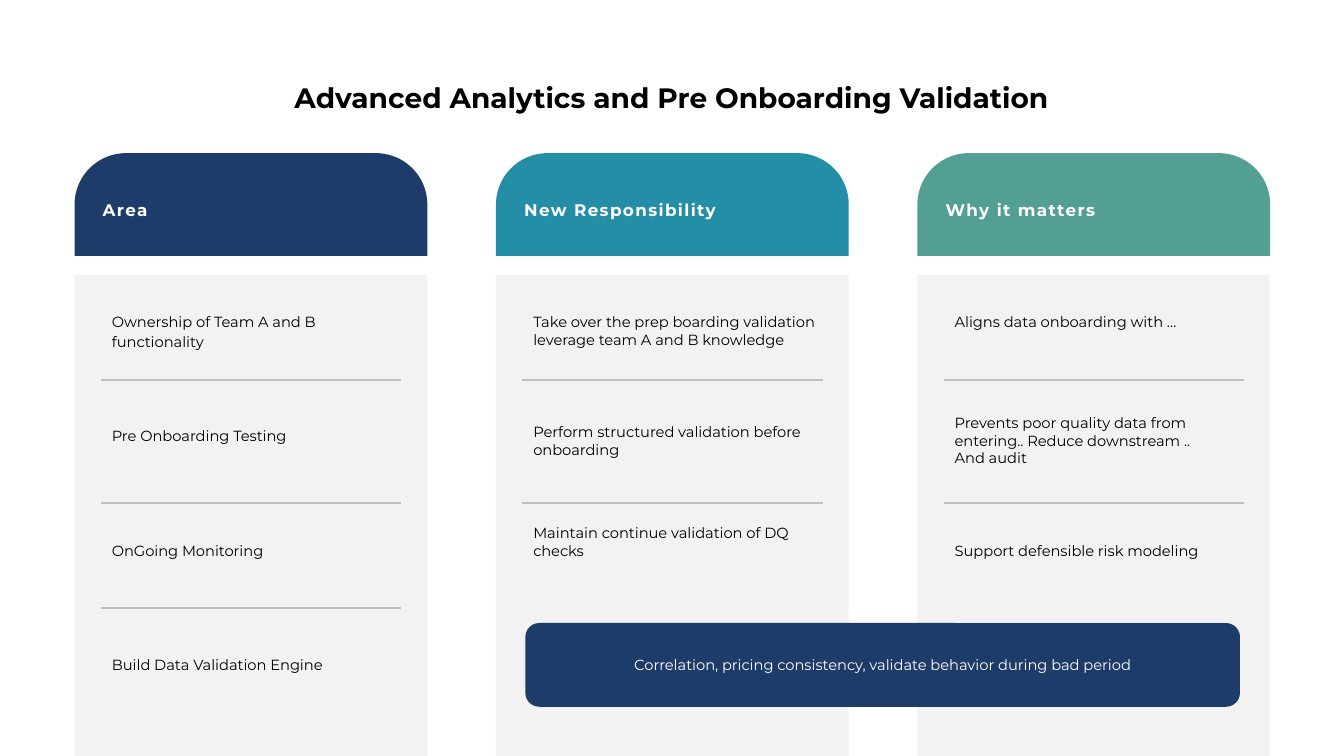
import pptx
import pptx.util
import pptx.dml.color
import pptx.enum.shapes
import pptx.enum.text
import pptx.oxml.ns
import lxml.etree

Cm = pptx.util.Cm
Pt = pptx.util.Pt
RGBColor = pptx.dml.color.RGBColor
Shape = pptx.enum.shapes.MSO_SHAPE
Align = pptx.enum.text.PP_ALIGN

FONT = "Montserrat"
BLACK = RGBColor(0x00, 0x00, 0x00)
WHITE = RGBColor(0xFF, 0xFF, 0xFF)
NAVY = RGBColor(0x1E, 0x3C, 0x69)
TEAL = RGBColor(0x24, 0x8E, 0xA6)
GREEN = RGBColor(0x54, 0x9F, 0x93)
PALE = RGBColor(0xF2, 0xF2, 0xF2)
GREY = RGBColor(0xBF, 0xBF, 0xBF)

LEFT, STEP, WIDTH = 1.88, 10.62, 8.89
INSET, INNER = 0.66, 7.57
RULES = [9.58, 12.67, 15.32]

# Heading, colour, number of rules, then (text, top, width, height) per cell
COLUMNS = [
    ("Area", NAVY, 3, [
        ("Ownership of Team A and B\nfunctionality", 7.77, INNER, 1.19),
        ("Pre Onboarding Testing", 10.64, INNER, 0.71),
        ("OnGoing Monitoring", 13.54, INNER, 0.71),
        ("Build Data Validation Engine", 16.41, INNER, 0.71),
    ]),
    ("New Responsibility", TEAL, 2, [
        ("Take over the prep boarding validation \vleverage team A and B knowledge",
         7.77, 8.05, 1.14),
        ("Perform structured validation before onboarding", 10.54, INNER, 1.14),
        ("Maintain continue validation of DQ checks", 13.08, INNER, 1.14),
    ]),
    ("Why it matters", GREEN, 2, [
        ("Aligns data onboarding with …", 7.77, 8.46, 0.71),
        ("Prevents poor quality data from entering.. Reduce downstream .. And audit",
         10.31, 7.11, 1.6),
        ("Support defensible risk modeling", 13.54, INNER, 0.71),
    ]),
]


def add_text(slide, text, left, top, width, height, size=10.5, color=BLACK,
             bold=False, align=Align.LEFT, track=0):
    """Add a text box; track is the letter spacing in points."""
    box = slide.shapes.add_textbox(Cm(left), Cm(top), Cm(width), Cm(height))
    frame = box.text_frame
    frame.word_wrap = True
    frame.auto_size = pptx.enum.text.MSO_AUTO_SIZE.SHAPE_TO_FIT_TEXT
    if align == Align.LEFT:
        frame.margin_left = Cm(0.28)
    frame.text = text
    for index, para in enumerate(frame.paragraphs):
        para.alignment = align
        if index:
            para.space_before = Pt(1.1)
        for run in para.runs:
            font = run.font
            font.name, font.size, font.bold = FONT, Pt(size), bold
            font.color.rgb = color
            if track:
                run._r.get_or_add_rPr().set("spc", str(track * 100))


def add_block(slide, kind, left, top, width, height, color, *curves):
    """Add a plain filled shape; curves are its adjustment values."""
    block = slide.shapes.add_shape(kind, Cm(left), Cm(top), Cm(width), Cm(height))
    block.shadow.inherit = False
    block.fill.solid()
    block.fill.fore_color.rgb = color
    block.line.fill.background()
    for index, curve in enumerate(curves):
        block.adjustments[index] = curve


def add_rule(slide, left, top, width):
    rule = slide.shapes.add_connector(
        pptx.enum.shapes.MSO_CONNECTOR.STRAIGHT,
        Cm(left), Cm(top), Cm(left + width), Cm(top))
    rule.line.color.rgb = GREY
    rule.line.width = Pt(1)
    lxml.etree.SubElement(rule._element.spPr, pptx.oxml.ns.qn("a:effectLst"))


def add_column(slide, left, head, color, count, cells):
    top_round = Shape.ROUND_2_SAME_RECTANGLE
    add_block(slide, top_round, left, 6.93, WIDTH, 12.12, PALE, 0, 0)
    add_block(slide, top_round, left, 3.86, WIDTH, 2.59, color, 0.5, 0)
    add_text(slide, head, left + 0.43, 4.9, 7.37, 0.76,
             size=12, color=WHITE, bold=True, track=1)
    for top in RULES[:count]:
        add_rule(slide, left + INSET, top, INNER)
    for text, top, width, height in cells:
        add_text(slide, text, left + INSET, top, width, height)


def main():
    deck = pptx.Presentation()
    deck.slide_width, deck.slide_height = Cm(33.87), Cm(19.05)
    slide = deck.slides.add_slide(deck.slide_layouts[6])
    add_text(slide, "Advanced Analytics and Pre Onboarding Validation",
             4.24, 1.9, 25.37, 1.12, size=20, bold=True, align=Align.CENTER)
    for index, column in enumerate(COLUMNS):
        add_column(slide, LEFT + index * STEP, *column)
    add_block(slide, Shape.ROUNDED_RECTANGLE, 13.24, 15.7, 18.01, 2.11, NAVY)
    add_text(slide, "Correlation, pricing consistency, validate behavior during bad period",
             14.86, 16.41, 14.78, 0.71, color=WHITE, align=Align.CENTER)
    deck.save("out.pptx")


if __name__ == "__main__":
    main()
